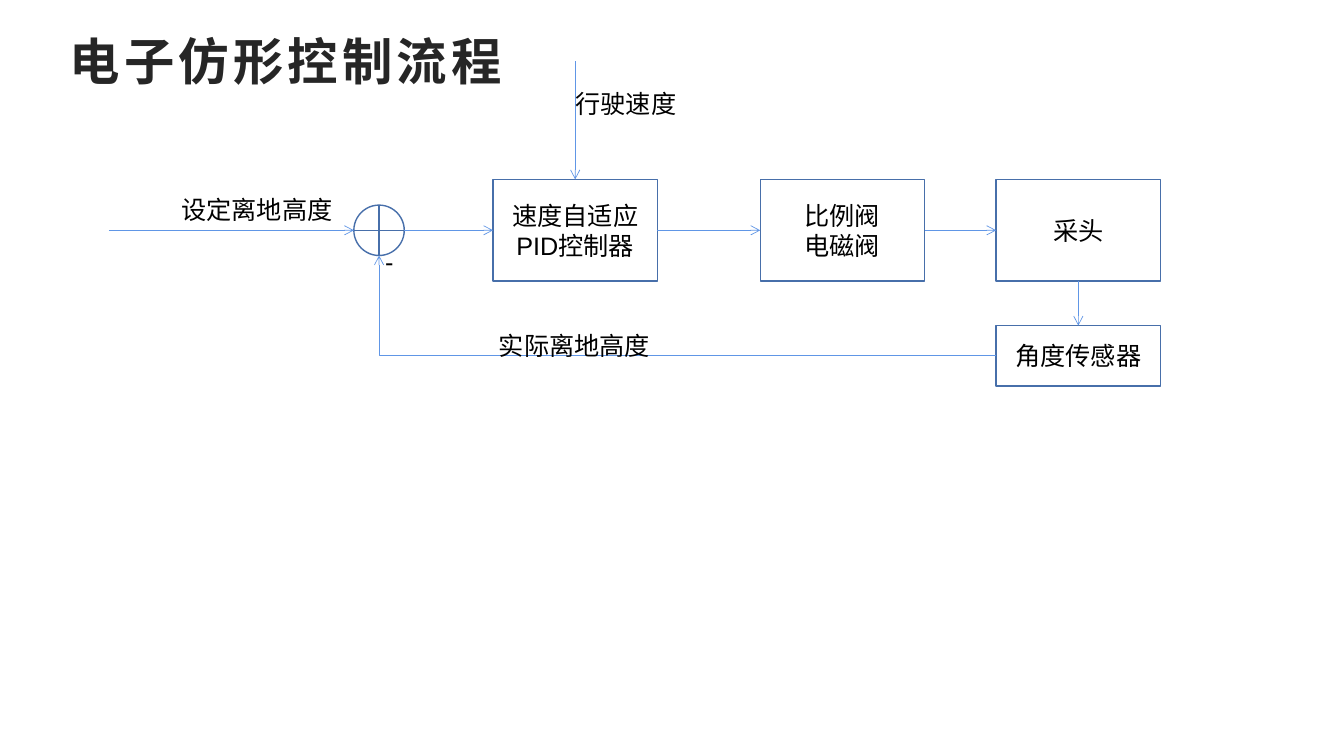
from pptx import Presentation
from pptx.dml.color import RGBColor
from pptx.enum.shapes import MSO_CONNECTOR, MSO_SHAPE
from pptx.enum.text import MSO_ANCHOR, MSO_AUTO_SIZE, PP_ALIGN
from pptx.oxml.ns import qn
from pptx.util import Inches, Pt
from lxml.etree import SubElement

COLORS = {"title": "262626", "text": "000000", "outline": "476FAA", "arrow": "6096E6"}
TOP, LEFT, BOTTOM, RIGHT = range(4)
BOX_WIDTH, BOX_HEIGHT, SENSOR_HEIGHT = 1.63, 1.01, 0.6


def color(name):
    return RGBColor.from_string(COLORS[name])


def write(shape, text, size=18, ink="text", bold=False, align=PP_ALIGN.LEFT,
          anchor=MSO_ANCHOR.TOP, spacing=None):
    frame = shape.text_frame
    frame.text = text
    frame.vertical_anchor = anchor
    for paragraph in frame.paragraphs:
        paragraph.alignment = align
        for run in paragraph.runs:
            run.font.name = "Arial"
            run.font.size = Pt(size)
            run.font.bold = bold
            run.font.color.rgb = color(ink)
            if spacing:
                run.font._element.set("spc", str(spacing * 100))


def add_title(slide, left, top, width, height):
    title = slide.shapes.title
    title.left, title.top = Inches(left), Inches(top)
    title.width, title.height = Inches(width), Inches(height)
    write(title, "电子仿形控制流程", size=36, ink="title", bold=True,
          anchor=MSO_ANCHOR.MIDDLE, spacing=3)
    title.text_frame.word_wrap = True


def add_outline(slide, preset, left, top, width, height):
    shape = slide.shapes.add_shape(preset, Inches(left), Inches(top), Inches(width), Inches(height))
    shape.shadow.inherit = False
    shape.fill.background()
    shape.line.color.rgb = color("outline")
    shape.line.width = Pt(1)
    return shape


def add_block(slide, text, left, top, height=BOX_HEIGHT):
    block = add_outline(slide, MSO_SHAPE.RECTANGLE, left, top, BOX_WIDTH, height)
    write(block, text, align=PP_ALIGN.CENTER, anchor=MSO_ANCHOR.MIDDLE)
    block.text_frame.word_wrap = True
    return block


def add_label(slide, text, left, top, width):
    label = slide.shapes.add_textbox(Inches(left), Inches(top), Inches(width), Inches(0.4))
    write(label, text)
    label.text_frame.word_wrap = False
    label.text_frame.auto_size = MSO_AUTO_SIZE.SHAPE_TO_FIT_TEXT


def add_arrow(slide, start, end, kind=MSO_CONNECTOR.STRAIGHT):
    """Each end is either an (x, y) point in inches or a (block, side) pair."""
    arrow = slide.shapes.add_connector(kind, 0, 0, 0, 0)
    if isinstance(start[0], float):
        arrow.begin_x, arrow.begin_y = map(Inches, start)
    else:
        arrow.begin_connect(*start)
    if isinstance(end[0], float):
        arrow.end_x, arrow.end_y = map(Inches, end)
    else:
        arrow.end_connect(*end)
    arrow.line.color.rgb = color("arrow")
    arrow.line.width = Pt(0.5)
    SubElement(arrow.line._get_or_add_ln(), qn("a:tailEnd"), type="arrow")
    properties = arrow._element.spPr
    SubElement(properties, qn("a:effectLst"))
    if kind == MSO_CONNECTOR.ELBOW:
        properties.find(qn("a:prstGeom")).set("prst", "bentConnector2")


def add_control_loop(slide, left, top):
    """Draw the loop; left is the start of the input arrow, top the top of the main row."""
    middle = top + BOX_HEIGHT / 2
    junction_left, junction_size = left + 2.43, 0.5
    junction_right = junction_left + junction_size
    junction_center = junction_left + junction_size / 2
    controller_left, valve_left, header_left = left + 3.81, left + 6.46, left + 8.8

    add_outline(slide, MSO_SHAPE.FLOWCHART_OR, junction_left, middle - junction_size / 2,
                junction_size, junction_size)
    controller = add_block(slide, "速度自适应PID控制器", controller_left, top)
    valve = add_block(slide, "比例阀\n电磁阀", valve_left, top)
    header = add_block(slide, "采头", header_left, top)
    sensor = add_block(slide, "角度传感器", header_left, top + 1.45, SENSOR_HEIGHT)

    speed_x = controller_left + BOX_WIDTH / 2
    add_arrow(slide, (left, middle), (junction_left, middle))
    add_arrow(slide, (junction_right, middle), (controller, LEFT))
    add_arrow(slide, (speed_x, top - 1.17), (controller, TOP))
    add_arrow(slide, (controller, RIGHT), (valve, LEFT))
    add_arrow(slide, (valve, RIGHT), (header, LEFT))
    add_arrow(slide, (header, BOTTOM), (sensor, TOP))
    add_arrow(slide, (sensor, LEFT), (junction_center, middle + junction_size / 2),
              MSO_CONNECTOR.ELBOW)

    add_label(slide, "设定离地高度", left + 0.62, top + 0.1, 1.7)
    add_label(slide, "实际离地高度", left + 3.77, top + 1.45, 1.7)
    add_label(slide, "行驶速度", left + 4.53, top - 0.95, 1.2)
    add_label(slide, "-", left + 2.64, top + 0.61, 0.28)


def main():
    presentation = Presentation()
    presentation.slide_width, presentation.slide_height = Inches(13.33), Inches(7.5)
    slide = presentation.slides.add_slide(presentation.slide_layouts[5])
    add_title(slide, 0.59, 0.21, 5.74, 0.77)
    add_control_loop(slide, 1.08, 1.78)
    presentation.save("out.pptx")


if __name__ == "__main__":
    main()
